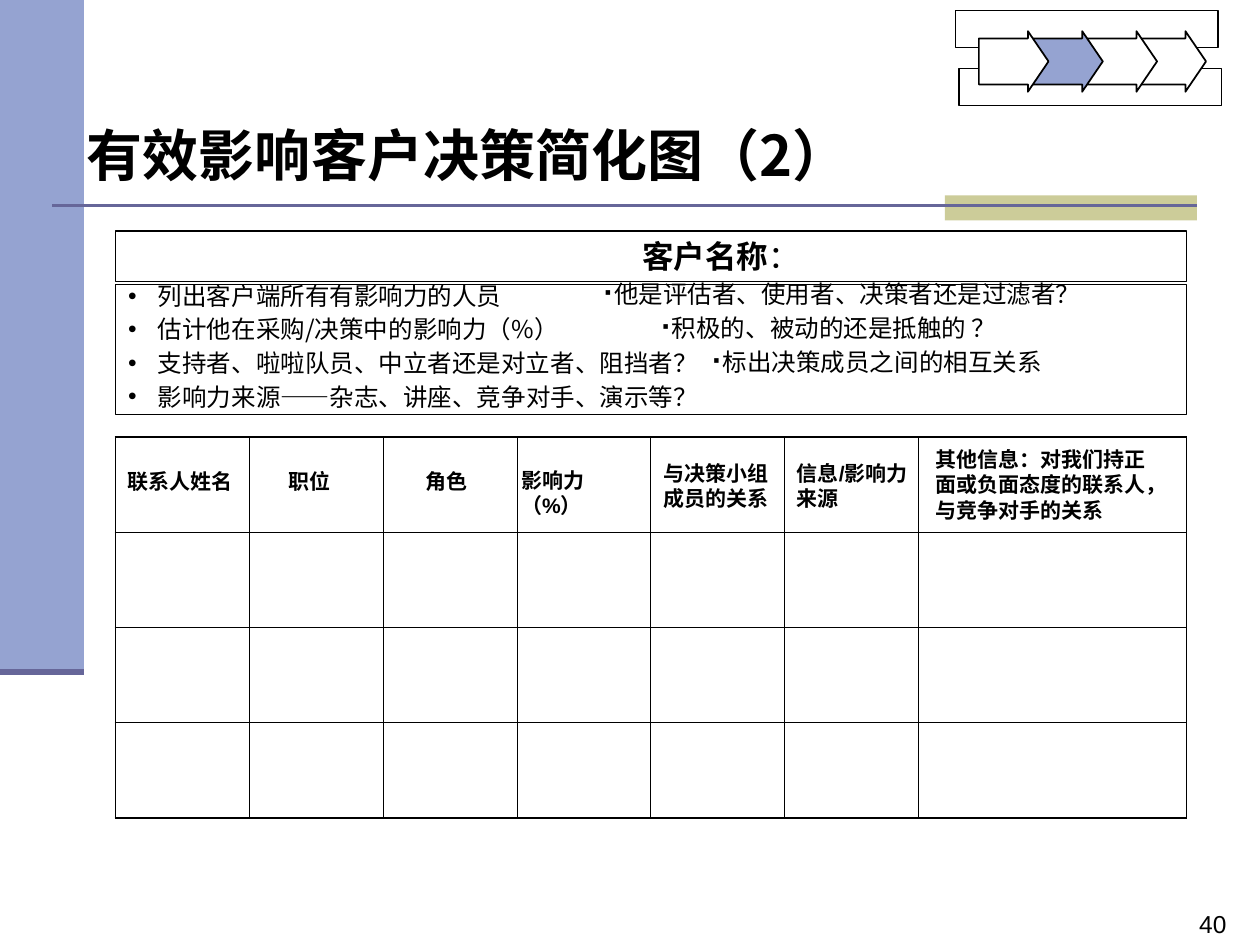
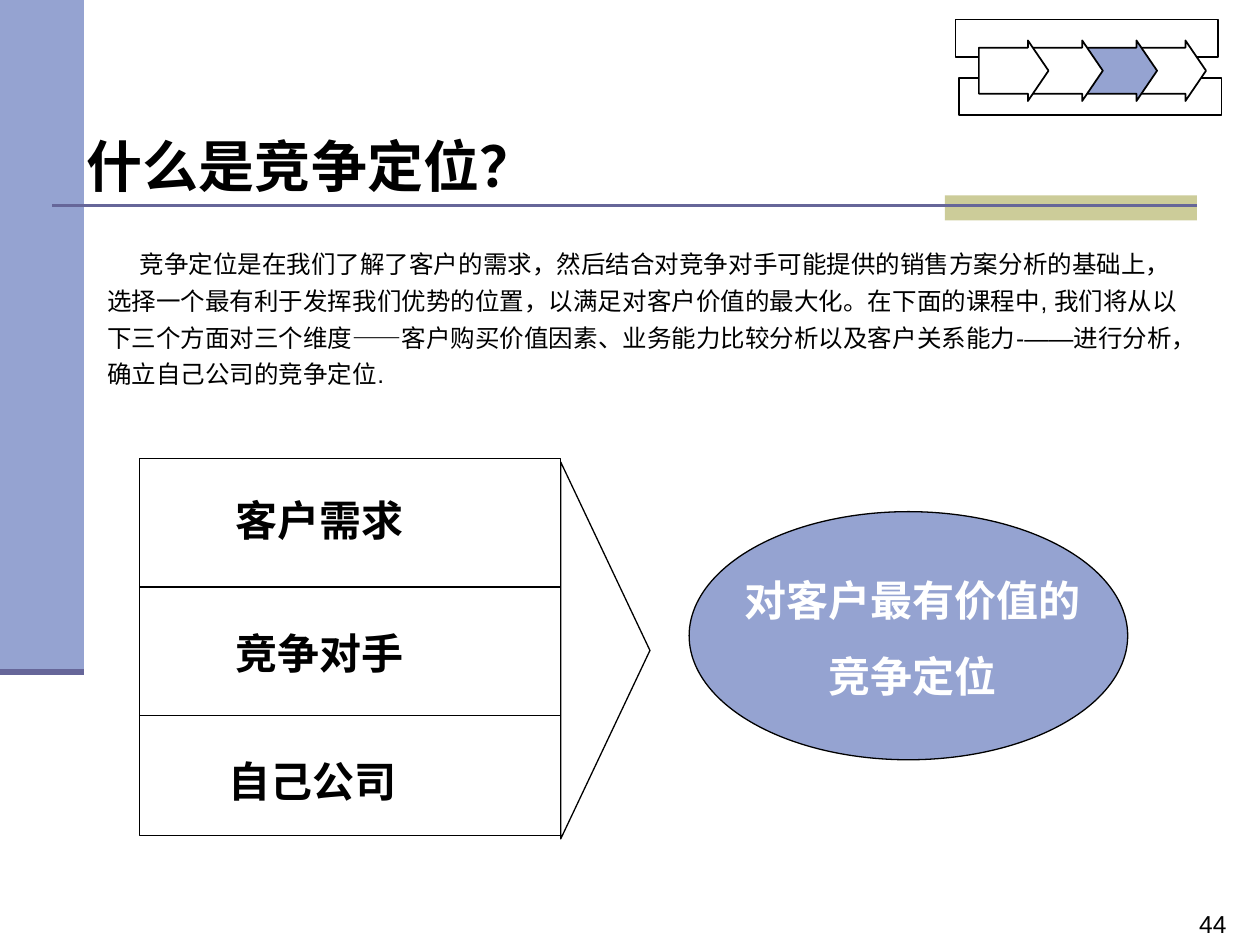
import lxml.etree
import pptx
import pptx.dml.color
import pptx.enum.shapes
import pptx.enum.text
import pptx.oxml.ns
import pptx.util

Pt = pptx.util.Pt
qn = pptx.oxml.ns.qn
MSO_SHAPE = pptx.enum.shapes.MSO_SHAPE
ANCHOR = pptx.enum.text.MSO_ANCHOR
ALIGN = pptx.enum.text.PP_ALIGN

# Shared look
BLACK = pptx.dml.color.RGBColor(0x00, 0x00, 0x00)
WHITE = pptx.dml.color.RGBColor(0xFF, 0xFF, 0xFF)
PERIWINKLE = pptx.dml.color.RGBColor(0x95, 0xA3, 0xD1)
KHAKI = pptx.dml.color.RGBColor(0xCC, 0xCC, 0x99)
VIOLET = pptx.dml.color.RGBColor(0x66, 0x66, 0x99)
LATIN = "Arial"
CHINESE = "Noto Sans CJK SC"


# Text helpers
def set_font(font, size, bold=False, name=LATIN, color=BLACK):
    font.size, font.bold, font.name = Pt(size), bold, name
    font.color.rgb = color
    lxml.etree.SubElement(font._rPr, qn("a:ea"), typeface=CHINESE)


def set_indent(paragraph, left, first=0, bullet=None):
    properties = paragraph._p.get_or_add_pPr()
    properties.set("marL", str(Pt(left)))
    properties.set("indent", str(Pt(first)))
    tag = "a:buChar" if bullet else "a:buNone"
    mark = properties.makeelement(qn(tag), {"char": bullet} if bullet else {})
    default_font = properties.find(qn("a:defRPr"))
    if default_font is None:
        properties.append(mark)
    else:
        default_font.addprevious(mark)


def prepare_frame(shape, anchor=ANCHOR.TOP):
    frame = shape.text_frame
    frame.word_wrap = True
    frame.auto_size = pptx.enum.text.MSO_AUTO_SIZE.NONE
    frame.vertical_anchor = anchor
    frame.margin_left = frame.margin_right = Pt(7.2)
    frame.margin_top = frame.margin_bottom = Pt(3.6)
    return frame


def place(shape, left, top, width, height):
    shape.left, shape.top = Pt(left), Pt(top)
    shape.width, shape.height = Pt(width), Pt(height)


def add_text(slide, box, lines, size, bold=False, name=LATIN, color=BLACK,
             align=ALIGN.LEFT, space_before=0):
    text_box = slide.shapes.add_textbox(*map(Pt, box))
    frame = prepare_frame(text_box)
    frame.text = "\n".join(lines)
    for index, paragraph in enumerate(frame.paragraphs):
        paragraph.alignment = align
        paragraph.space_before = Pt(space_before if index else 0)
        set_font(paragraph.font, size, bold, name, color)


# Shape helpers
def add_shape(slide, kind, box, fill=None, line=BLACK, weight=0.75):
    shape = slide.shapes.add_shape(kind, *map(Pt, box))
    shape.shadow.inherit = False
    if fill is None:
        shape.fill.background()
    else:
        shape.fill.solid()
        shape.fill.fore_color.rgb = fill
    if line is None:
        shape.line.fill.background()
    else:
        shape.line.color.rgb = line
        shape.line.width = Pt(weight)
    return shape


def add_rule(slide, left, right, y, color=BLACK, weight=0.75):
    connector = slide.shapes.add_connector(
        pptx.enum.shapes.MSO_CONNECTOR.STRAIGHT, Pt(left), Pt(y), Pt(right), Pt(y))
    connector.line.color.rgb = color
    connector.line.width = Pt(weight)
    lxml.etree.SubElement(connector._element.spPr, qn("a:effectLst"))


# Side band, title rule, page number and title
def add_frame(presentation, title, title_top, page):
    slide = presentation.slides.add_slide(presentation.slide_layouts[1])
    add_shape(slide, MSO_SHAPE.RECTANGLE, (0, 0, 48, 384), PERIWINKLE, None)
    add_shape(slide, MSO_SHAPE.RECTANGLE, (540, 111.6, 144, 14.4), KHAKI, None)
    add_rule(slide, 30, 684, 117.6, VIOLET, 1.5)
    add_rule(slide, 0, 48, 384, VIOLET, 3.5)
    add_text(slide, (678.2, 516.2, 41.8, 23.8), [page], 14)

    place(slide.shapes.title, 42.5, title_top, 540, 46)
    frame = prepare_frame(slide.shapes.title)
    frame.text = title
    paragraph = frame.paragraphs[0]
    paragraph.alignment = ALIGN.LEFT
    set_font(paragraph.font, 32, True, CHINESE)
    return slide


# Four-step progress marker with one step highlighted
def add_progress(slide, left, top, current):
    for x, y in ((0, 0), (2, 33.2)):
        add_shape(slide, MSO_SHAPE.RECTANGLE, (left + x, top + y, 150, 21.3), WHITE)
    steps = list(enumerate((13.4, 44.4, 75.4, 103.4)))
    for step, x in reversed(steps):
        arrow = add_shape(slide, MSO_SHAPE.RIGHT_ARROW,
                          (left + x, top + 11.8, 39.8, 34.6),
                          PERIWINKLE if step == current else WHITE, weight=1)
        arrow.adjustments[0] = 0.76
        arrow.adjustments[1] = 0.34


# Customer name box
def add_customer_name(slide, box):
    shape = add_shape(slide, MSO_SHAPE.RECTANGLE, box)
    frame = prepare_frame(shape, ANCHOR.MIDDLE)
    frame.margin_left = Pt(301)
    paragraph = frame.paragraphs[0]
    paragraph.alignment = ALIGN.LEFT
    for text, bold in (("客户名称", True), ("：", False)):
        run = paragraph.add_run()
        run.text = text
        set_font(run.font, 18, bold)


# Outlined question list with a stepped second column
def add_questions(slide, box, questions, second_column):
    left, top, width, height = box

    def space_line(paragraph):
        paragraph.alignment = ALIGN.LEFT
        paragraph.line_spacing = Pt(11)
        paragraph.space_before = Pt(8.2)

    body = slide.placeholders[1]
    place(body, *box)
    body.line.color.rgb = BLACK
    body.line.width = Pt(0.75)
    frame = prepare_frame(body)
    frame.text = "\n".join(questions)
    for paragraph in frame.paragraphs:
        space_line(paragraph)
        set_font(paragraph.font, 14, name=CHINESE)
        set_indent(paragraph, 17, -17, "•")

    column = slide.shapes.add_textbox(Pt(left + 279), Pt(top),
                                      Pt(width - 279), Pt(height))
    frame = prepare_frame(column)
    frame.margin_left = 0
    for index, (text, indent) in enumerate(second_column):
        paragraph = frame.add_paragraph() if index else frame.paragraphs[0]
        space_line(paragraph)
        set_indent(paragraph, indent)
        for part, size, bold, name in (("·", 18, True, LATIN),
                                       (text, 14, False, CHINESE)):
            run = paragraph.add_run()
            run.text = part
            set_font(run.font, size, bold, name)


# Empty contact grid, last two columns joined
def set_border(cell, side, weight):
    properties = cell._tc.get_or_add_tcPr()
    line = lxml.etree.SubElement(properties, qn("a:" + side), w=str(Pt(weight)))
    fill = lxml.etree.SubElement(line, qn("a:solidFill"))
    lxml.etree.SubElement(fill, qn("a:srgbClr"), val=str(BLACK))


def add_contact_grid(slide, box, rows, columns):
    table = slide.shapes.add_table(rows, columns, *map(Pt, box)).table
    table.first_row = table.horz_banding = False
    for row in range(rows):
        for column in range(columns):
            cell = table.cell(row, column)
            outer = {"lnL": column == 0, "lnR": column == columns - 1,
                     "lnT": row == 0, "lnB": row == rows - 1}
            for side, is_outer in outer.items():
                set_border(cell, side, 1 if is_outer else 0.5)
            cell.fill.background()
        table.cell(row, columns - 2).merge(table.cell(row, columns - 1))


def add_contact_headings(slide, left, top):
    headings = (
        ("联系人姓名", 0, 14.4, 78, ALIGN.LEFT, LATIN),
        ("职位", 72, 14.4, 78, ALIGN.CENTER, LATIN),
        ("角色", 150, 14.4, 78, ALIGN.CENTER, LATIN),
        ("影响力（%）", 224.8, 13.7, 78, ALIGN.LEFT, LATIN),
        ("与决策小组成员的关系", 306, 10, 78, ALIGN.LEFT, LATIN),
        ("信息/影响力来源", 382.3, 10, 78, ALIGN.LEFT, LATIN),
        ("其他信息：对我们持正面或负面态度的联系人，与竞争对手的关系",
         461.6, 2, 138.2, ALIGN.LEFT, CHINESE),
    )
    for text, x, y, width, align, name in headings:
        add_text(slide, (left + x, top + y, width, 36), [text], 12, True,
                 name, align=align)


# Introductory paragraph
def add_introduction(slide, box, text):
    body = slide.placeholders[1]
    place(body, *box)
    frame = prepare_frame(body)
    frame.text = text
    paragraph = frame.paragraphs[0]
    paragraph.alignment = ALIGN.LEFT
    paragraph.line_spacing = 1.25
    paragraph.space_before = Pt(0)
    set_font(paragraph.font, 14)
    set_indent(paragraph, 0, 18.5)


# Three inputs pointing to the positioning ellipse
def add_positioning(slide, left, top):
    width, height, depth = 240.6, 215.4, 51
    pointer = add_shape(slide, MSO_SHAPE.ISOSCELES_TRIANGLE,
                        (left + width + (depth - height) / 2,
                         top + 2 + (height - depth) / 2, height, depth))
    pointer.rotation = 90
    add_shape(slide, MSO_SHAPE.OVAL, (left + 314, top + 30.4, 250.6, 141.8),
              PERIWINKLE)
    add_shape(slide, MSO_SHAPE.RECTANGLE, (left, top, width, height))
    for row in (1, 2):
        add_rule(slide, left, left + width, top + row * 73.5)
    inputs = (("客户需求", 47.5, 17.3), ("竞争对手", 47.5, 92.9),
              ("自己公司", 44, 166.4))
    for text, x, y in inputs:
        add_text(slide, (left + x, top + y, 130, 36), [text], 24, True)
    add_text(slide, (left + 331, top + 62.6, 221, 80),
             ["对客户最有价值的", "竞争定位"], 24, True, color=WHITE,
             align=ALIGN.CENTER, space_before=15)


def build_influence_slide(presentation):
    slide = add_frame(presentation, "有效影响客户决策简化图（2）", 65.5, "40")
    add_questions(
        slide, (66, 162.7, 612, 74.2),
        ["列出客户端所有有影响力的人员", "估计他在采购/决策中的影响力（%）",
         "支持者、啦啦队员、中立者还是对立者、阻挡者？",
         "影响力来源——杂志、讲座、竞争对手、演示等？"],
        [("他是评估者、使用者、决策者还是过滤者？", 0),
         ("积极的、被动的还是抵触的 ？", 33),
         ("标出决策成员之间的相互关系", 62)])
    add_customer_name(slide, (66, 132, 612, 28.8))
    add_contact_grid(slide, (66, 249.8, 612, 217.6), 4, 8)
    add_contact_headings(slide, 66, 249.8)
    add_progress(slide, 546, 6, current=1)


def build_positioning_slide(presentation):
    slide = add_frame(presentation, "什么是竞争定位？", 71.3, "44")
    add_introduction(
        slide, (54, 134.6, 629.3, 91.4),
        "竞争定位是在我们了解了客户的需求，然后结合对竞争对手可能提供的销售方案分析的基础上，"
        "选择一个最有利于发挥我们优势的位置，以满足对客户价值的最大化。在下面的课程中, "
        "我们将从以下三个方面对三个维度——客户购买价值因素、业务能力比较分析以及客户关系能力"
        "-——进行分析，确立自己公司的竞争定位.")
    add_positioning(slide, 79.8, 262)
    add_progress(slide, 546, 11.3, current=2)


def main():
    presentation = pptx.Presentation()
    presentation.slide_width, presentation.slide_height = Pt(720), Pt(540)
    build_influence_slide(presentation)
    build_positioning_slide(presentation)
    presentation.save("out.pptx")


if __name__ == "__main__":
    main()
